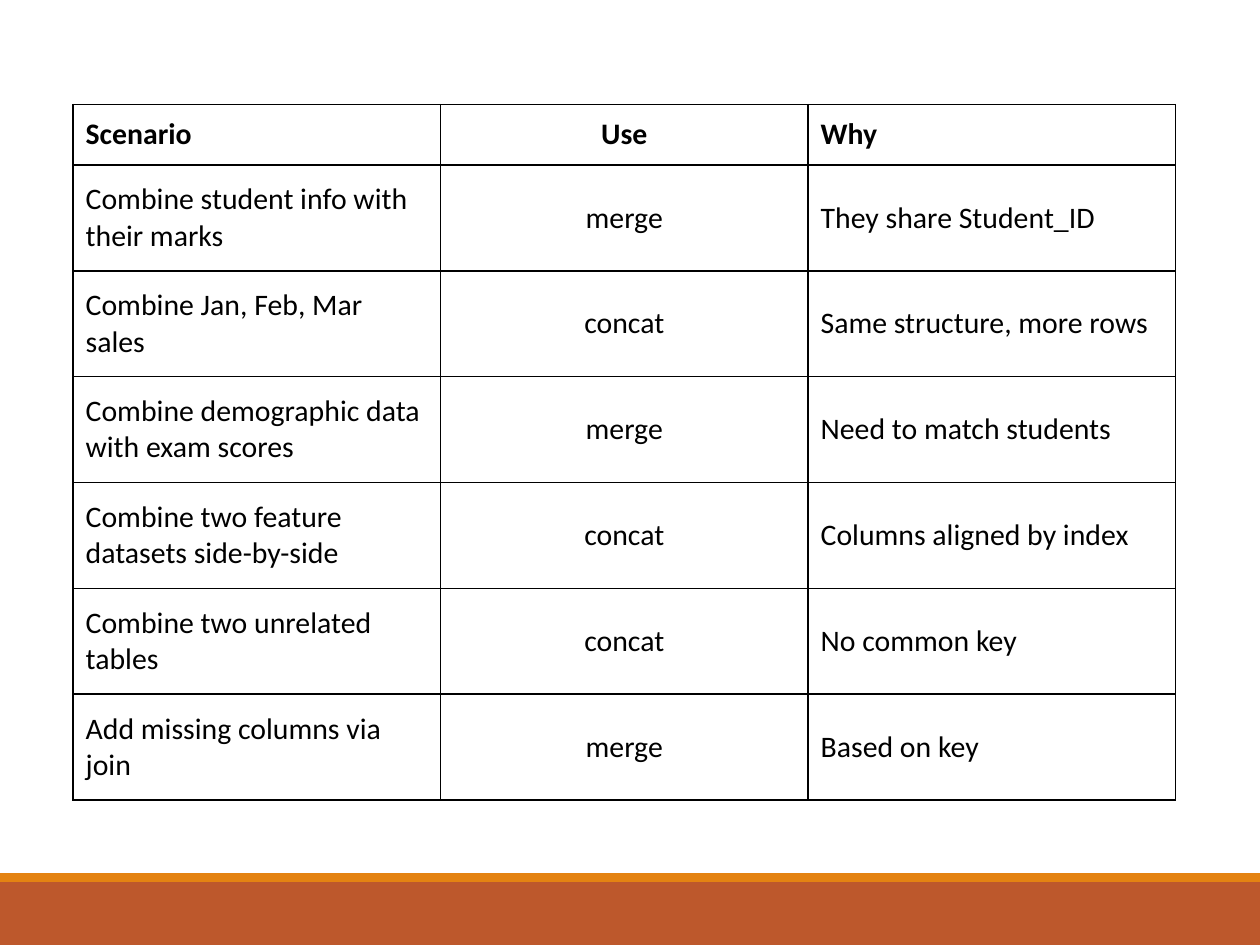
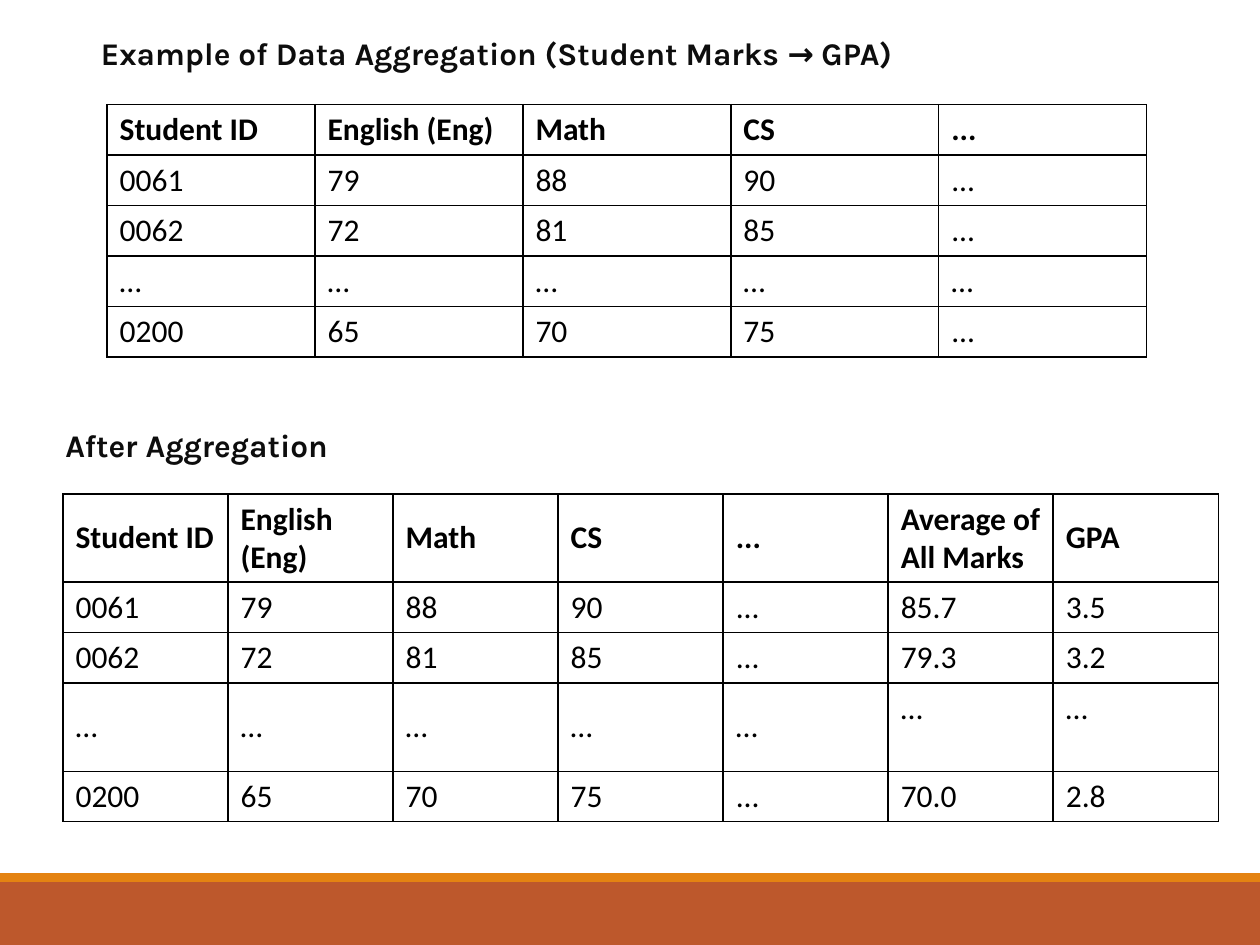
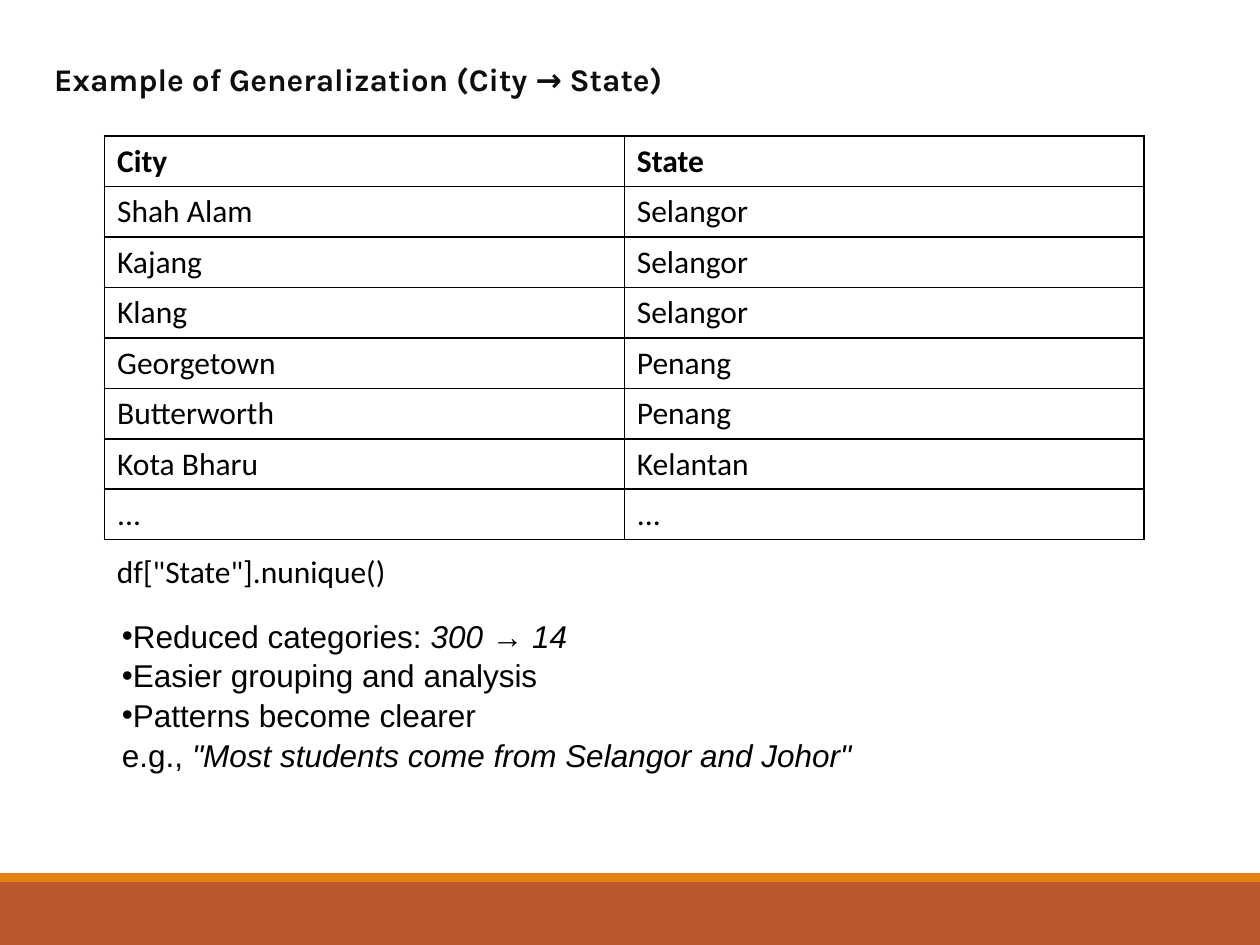
import pptx
import pptx.dml.color
import pptx.enum.shapes
import pptx.enum.text
import pptx.oxml
import pptx.oxml.ns
import pptx.util

Inches = pptx.util.Inches
Pt = pptx.util.Pt
ANCHOR = pptx.enum.text.MSO_ANCHOR
ALIGN = pptx.enum.text.PP_ALIGN
FIT = pptx.enum.text.MSO_AUTO_SIZE

COLOURS = {"rust": "BD582C", "amber": "E48312", "heading": "0D0D0D", "ink": "000000"}
TITLE_ONLY, BLANK = 5, 6

# Content
BANDS = [("rust", 7, 0.5), ("amber", 6.93, 0.07)]  # colour, top, height

SCENARIOS = [
    ("Scenario", "Use", "Why"),
    ("Combine student info with their marks", "merge", "They share Student_ID"),
    ("Combine Jan, Feb, Mar sales", "concat", "Same structure, more rows"),
    ("Combine demographic data with exam scores", "merge", "Need to match students"),
    ("Combine two feature datasets side-by-side", "concat", "Columns aligned by index"),
    ("Combine two unrelated tables", "concat", "No common key"),
    ("Add missing columns via join", "merge", "Based on key"),
]

MARKS = [
    ("Student ID", "English (Eng)", "Math", "CS", "..."),
    ("0061", "79", "88", "90", "..."),
    ("0062", "72", "81", "85", "..."),
    ("…", "…", "…", "…", "…"),
    ("0200", "65", "70", "75", "..."),
]
AGGREGATES = [
    ("Average of All Marks", "GPA"),
    ("85.7", "3.5"),
    ("79.3", "3.2"),
    ("…", "…"),
    ("70.0", "2.8"),
]

CITIES = [
    ("City", "State"),
    ("Shah Alam", "Selangor"),
    ("Kajang", "Selangor"),
    ("Klang", "Selangor"),
    ("Georgetown", "Penang"),
    ("Butterworth", "Penang"),
    ("Kota Bharu", "Kelantan"),
    ("...", "..."),
]

# Each bullet holds (text, italic) spans; None is a line break
BENEFITS = [
    [("Reduced categories: ", False), ("300 → 14", True)],
    [("Easier grouping and analysis", False)],
    [("Patterns become clearer", False), None, ("e.g., ", False),
     ('"Most students come from Selangor and Johor"', True)],
]


def rgb(name):
    return pptx.dml.color.RGBColor.from_string(COLOURS[name])


def add_span(para, text, font="Calibri", size=18, colour="ink", bold=False, italic=False):
    span = para.add_run()
    span.text = text
    span.font.name = font
    span.font.size = Pt(size)
    span.font.bold = bold
    span.font.italic = italic
    span.font.color.rgb = rgb(colour)


def add_box(page, left, top, width, height, wrap=True):
    box = page.shapes.add_textbox(Inches(left), Inches(top), Inches(width), Inches(height))
    box.text_frame.word_wrap = wrap
    box.text_frame.auto_size = FIT.SHAPE_TO_FIT_TEXT
    return box.text_frame


def add_heading(para, text):
    para.alignment = ALIGN.LEFT
    add_span(para, text, font="Karla", colour="heading", bold=True)


def set_title(page, text, left, top, width, height=0.4):
    title = page.shapes.title
    title.left, title.top = Inches(left), Inches(top)
    title.width, title.height = Inches(width), Inches(height)
    frame = title.text_frame
    frame.word_wrap = True
    frame.auto_size = FIT.SHAPE_TO_FIT_TEXT
    frame.vertical_anchor = ANCHOR.TOP
    add_heading(frame.paragraphs[0], text)


def add_borders(cell):
    properties = cell._tc.get_or_add_tcPr()
    for side in ("lnL", "lnR", "lnT", "lnB"):
        properties.append(pptx.oxml.parse_xml(
            f'<a:{side} {pptx.oxml.ns.nsdecls("a")} w="{Pt(1)}"><a:solidFill>'
            f'<a:srgbClr val="{COLOURS["ink"]}"/></a:solidFill></a:{side}>'))


def add_grid(page, rows, left, top, width, heights, size=18, centred=()):
    """Draw a ruled table with equal columns and a bold first row."""
    columns = len(rows[0])
    table = page.shapes.add_table(
        len(rows), columns, Inches(left), Inches(top),
        Inches(width), Inches(sum(heights))).table
    table.first_row = table.horz_banding = False
    for column in table.columns:
        column.width = Inches(width / columns)
    for r, (texts, height) in enumerate(zip(rows, heights)):
        table.rows[r].height = Inches(height)
        for c, text in enumerate(texts):
            cell = table.cell(r, c)
            add_borders(cell)
            cell.fill.background()
            cell.vertical_anchor = ANCHOR.MIDDLE
            para = cell.text_frame.paragraphs[0]
            para.alignment = ALIGN.CENTER if c in centred else ALIGN.LEFT
            add_span(para, text, size=size, bold=r == 0)
    return table


def add_master_bands(deck, page):
    """Draw the footer bands, then hand them to the master all slides share."""
    for number, (colour, top, height) in enumerate(BANDS):
        band = page.shapes.add_shape(
            pptx.enum.shapes.MSO_SHAPE.RECTANGLE, 0, Inches(top),
            deck.slide_width, Inches(height))
        band.shadow.inherit = False
        band.fill.solid()
        band.fill.fore_color.rgb = rgb(colour)
        band.line.fill.background()
        band.element.nvSpPr.cNvPr.set("id", str(100 + number))
        deck.slide_master.shapes.element.append(band.element)


def add_scenarios(page):
    add_grid(page, SCENARIOS, 0.58, 0.83, 8.75, [0.48] + [0.84] * 6, size=17, centred=(1,))


def add_aggregation(page):
    set_title(page, "Example of Data Aggregation (Student Marks → GPA)", 0.7, 0.22, 8.55)
    add_grid(page, MARKS, 0.85, 0.83, 8.25, [0.4] * len(MARKS))

    # The second table extends the marks with the aggregate columns
    extended = [marks + extra for marks, extra in zip(MARKS, AGGREGATES)]
    table = add_grid(page, extended, 0.5, 3.92, 9.17, [0.7, 0.4, 0.4, 0.7, 0.4])
    for column in (5, 6):
        table.cell(3, column).vertical_anchor = ANCHOR.TOP
    frame = add_box(page, 0.42, 3.33, 2.34, 0.4, wrap=False)
    add_heading(frame.paragraphs[0], "After Aggregation")


def add_generalization(page):
    set_title(page, "Example of Generalization (City → State)", 0.33, 0.43, 6.66)
    add_grid(page, CITIES, 0.83, 1.08, 8.25, [0.4] * len(CITIES))

    # Benefits list
    frame = add_box(page, 0.87, 4.83, 6.76, 1.31)
    for number, spans in enumerate(BENEFITS):
        para = frame.add_paragraph() if number else frame.paragraphs[0]
        para.line_spacing = 1.05
        properties = para._p.get_or_add_pPr()
        properties.set("marL", "0")
        properties.set("indent", "0")
        for bullet in ('buFont {} typeface="Arial"', 'buChar {} char="•"'):
            properties.append(pptx.oxml.parse_xml(
                f'<a:{bullet.format(pptx.oxml.ns.nsdecls("a"))}/>'))
        for span in spans:
            if span is None:
                para.add_line_break()
            else:
                add_span(para, span[0], font="Arial", italic=span[1])

    # Code line
    code = add_box(page, 0.83, 4.33, 2.36, 0.4, wrap=False)
    add_span(code.paragraphs[0], 'df["State"].nunique()')


def main():
    deck = pptx.Presentation()
    deck.slide_width, deck.slide_height = Inches(10), Inches(7.5)
    pages = [deck.slides.add_slide(deck.slide_layouts[layout])
             for layout in (BLANK, TITLE_ONLY, TITLE_ONLY)]
    add_master_bands(deck, pages[0])
    for page, fill_page in zip(pages, (add_scenarios, add_aggregation, add_generalization)):
        fill_page(page)
    deck.save("out.pptx")


if __name__ == "__main__":
    main()
